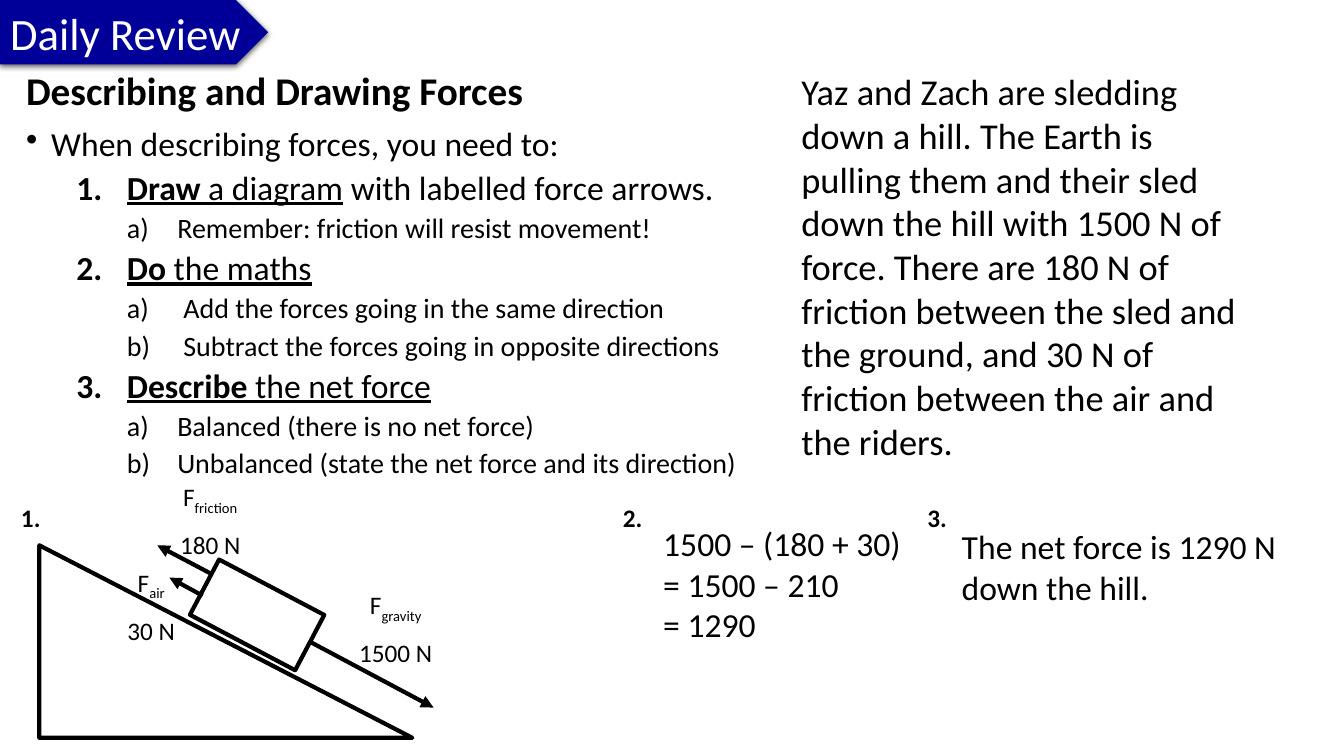
import pptx
import pptx.util
import pptx.dml.color
import pptx.enum.shapes
import pptx.enum.text
import pptx.oxml
import pptx.oxml.ns

PX = 9144
FONT = "Calibri"
BLACK, WHITE, NAVY = "000000", "FFFFFF", "000099"
SHAPES = pptx.enum.shapes.MSO_SHAPE
ALIGN = pptx.enum.text.PP_ALIGN
AUTO_SIZE = pptx.enum.text.MSO_AUTO_SIZE
NS = pptx.oxml.ns.nsdecls("a")

BULLET = '<a:buChar %s char="•"/>' % NS
NUMBER = '<a:buAutoNum %s type="arabicPeriod"/>' % NS
LETTER = '<a:buAutoNum %s type="alphaLcParenR"/>' % NS

STEPS = [
    (1, "Draw", " a diagram", " with labelled force arrows."),
    (2, 50, "Remember: friction will resist movement!"),
    (1, "Do", " the maths", ""),
    (2, 56, "Add the forces going in the same direction"),
    (2, 56, "Subtract the forces going in opposite directions"),
    (1, "Describe", " the net force", ""),
    (2, 50, "Balanced (there is no net force)"),
    (2, 50, "Unbalanced (state the net force and its direction)"),
]


def px(*lengths):
    return [pptx.util.Emu(length * PX) for length in lengths]


def rgb(code):
    return pptx.dml.color.RGBColor.from_string(code)


def style(font, size, color=BLACK, bold=False, underline=False):
    font.name = FONT
    font.size = pptx.util.Pt(size)
    font.color.rgb = rgb(color)
    font.bold = bold
    font.underline = underline


def add_run(paragraph, text, size, bold=False, underline=False):
    run = paragraph.add_run()
    run.text = text
    style(run.font, size, bold=bold, underline=underline)
    return run


def add_text(slide, box, lines, size, bold=False, wrap=False):
    frame = slide.shapes.add_textbox(*px(*box)).text_frame
    frame.word_wrap = wrap
    frame.auto_size = AUTO_SIZE.SHAPE_TO_FIT_TEXT
    frame.text = "\n".join(lines)
    for paragraph in frame.paragraphs:
        for run in paragraph.runs:
            style(run.font, size, bold=bold)


def add_outline(slide, kind, box, rotation=0):
    shape = slide.shapes.add_shape(kind, *px(*box))
    shape.rotation = rotation
    shape.shadow.inherit = False
    shape.fill.solid()
    shape.fill.fore_color.rgb = rgb(WHITE)
    shape.line.color.rgb = rgb(BLACK)
    shape.line.width = pptx.util.Pt(3)
    return shape


def add_arrow(slide, start, end, source=None):
    arrow = slide.shapes.add_connector(
        pptx.enum.shapes.MSO_CONNECTOR.STRAIGHT, *px(*start, *end))
    if source is not None:
        arrow.begin_connect(source, 3)
        arrow.begin_x, arrow.begin_y = px(*start)
    arrow.line.color.rgb = rgb(BLACK)
    arrow.line.width = pptx.util.Pt(3)
    arrow.line._get_or_add_ln().append(
        pptx.oxml.parse_xml('<a:tailEnd %s type="triangle"/>' % NS))
    arrow._element.spPr.append(pptx.oxml.parse_xml("<a:effectLst %s/>" % NS))


def add_force_label(slide, box, force, newtons):
    frame = slide.shapes.add_textbox(*px(*box)).text_frame
    frame.word_wrap = False
    frame.auto_size = AUTO_SIZE.SHAPE_TO_FIT_TEXT
    symbol, amount = frame.paragraphs[0], frame.add_paragraph()
    add_run(symbol, "F", 18)
    subscript = add_run(symbol, force, 18)
    subscript.font._element.set("baseline", "-25000")
    add_run(amount, newtons, 18)
    amount.space_before = pptx.util.Pt(9.8)
    symbol.alignment = amount.alignment = ALIGN.CENTER


def add_banner(slide, left, top, width, height):
    banner = slide.shapes.add_shape(SHAPES.PENTAGON, *px(left, top, width, height))
    banner.fill.solid()
    banner.fill.fore_color.rgb = rgb(NAVY)
    banner.line.fill.background()
    banner.shadow.inherit = False
    effects = banner._element.spPr.find(pptx.oxml.ns.qn("a:effectLst"))
    effects.append(pptx.oxml.parse_xml(
        '<a:outerShdw %s blurRad="57150" dist="19050" dir="5400000" rotWithShape="0">'
        '<a:srgbClr val="000000"><a:alpha val="63000"/></a:srgbClr></a:outerShdw>' % NS))
    title = slide.shapes.title
    title._element.addprevious(banner._element)
    title.left, title.top, title.width, title.height = px(left, top, width, height)
    frame = title.text_frame
    frame.text = "Daily Review"
    frame.word_wrap = False
    frame.auto_size = AUTO_SIZE.NONE
    frame.vertical_anchor = pptx.enum.text.MSO_ANCHOR.MIDDLE
    frame.paragraphs[0].alignment = ALIGN.LEFT
    style(frame.paragraphs[0].runs[0].font, 32, WHITE)


def add_step(frame, level, indent, hanging, marker, before):
    paragraph = frame.add_paragraph()
    paragraph.level = level
    paragraph.line_spacing = 0.9
    paragraph.space_before = pptx.util.Pt(before)
    properties = paragraph._p.get_or_add_pPr()
    properties.set("marL", str(indent * PX))
    properties.set("indent", str(-hanging * PX))
    properties.append(pptx.oxml.parse_xml(marker))
    return paragraph


def add_method(slide, left, top, width, height):
    frame = slide.shapes.add_textbox(*px(left, top, width, height)).text_frame
    frame.word_wrap = True
    heading = frame.paragraphs[0]
    heading.line_spacing = 0.9
    add_run(heading, "Describing and Drawing Forces", 28, bold=True)
    intro = add_step(frame, 0, 25, 25, BULLET, 10)
    add_run(intro, "When describing forces, you need to:", 24)
    for level, *parts in STEPS:
        if level == 1:
            verb, rest, ending = parts
            step = add_step(frame, 1, 100, 50, NUMBER, 5)
            add_run(step, verb, 24, bold=True, underline=True)
            add_run(step, rest, 24, underline=True)
            if ending:
                add_run(step, ending, 24)
        else:
            hanging, detail = parts
            add_run(add_step(frame, 2, 100 + hanging, hanging, LETTER, 5), detail, 20)


def add_problem(slide, *box):
    add_text(slide, box, [
        "Yaz and Zach are sledding down a hill. The Earth is pulling them and their "
        "sled down the hill with 1500 N of force. There are 180 N of friction between "
        "the sled and the ground, and 30 N of friction between the air and the riders."],
        26, wrap=True)


def add_diagram(slide, left, top):
    add_text(slide, (left, top + 20, 39, 40), ["1."], 18, bold=True)
    add_outline(slide, SHAPES.RIGHT_TRIANGLE, (left + 28, top + 68, 370, 191))
    sled = add_outline(slide, SHAPES.RECTANGLE, (left + 185, top + 106, 118, 62), 27.8)
    forces = [
        ("gravity", "1500 N", (335, 107, 93), (297, 164), (419, 229), sled),
        ("friction", "180 N", (157, 0, 81), (198, 96), (145, 68), None),
        ("air", "30 N", (105, 85, 68), (190, 118), (157, 100), None),
    ]
    for force, newtons, (x, y, width), start, end, source in forces:
        add_arrow(slide, (left + start[0], top + start[1]),
                  (left + end[0], top + end[1]), source)
        add_force_label(slide, (left + x, top + y, width, 84), force, newtons)


def add_answer(slide, left, top, number, offset, size, lines, wrap):
    add_text(slide, (left, top, 40, 40), [number], 18, bold=True)
    add_text(slide, (left + offset[0], top + offset[1], *size), lines, 24, wrap=wrap)


def main():
    deck = pptx.Presentation()
    deck.slide_width, deck.slide_height = px(1333, 750)
    slide = deck.slides.add_slide(deck.slide_layouts[5])
    add_banner(slide, 0, 0, 266, 64)
    add_method(slide, 16, 66, 751, 420)
    add_problem(slide, 785, 64, 470, 404)
    add_diagram(slide, 11, 473)
    add_answer(slide, 608, 493, "2.", (40, 21), (257, 131),
               ["1500 – (180 + 30)", "= 1500 – 210", "= 1290"], False)
    add_answer(slide, 910, 493, "3.", (34, 24), (378, 91),
               ["The net force is 1290 N down the hill."], True)
    deck.save("out.pptx")


if __name__ == "__main__":
    main()
